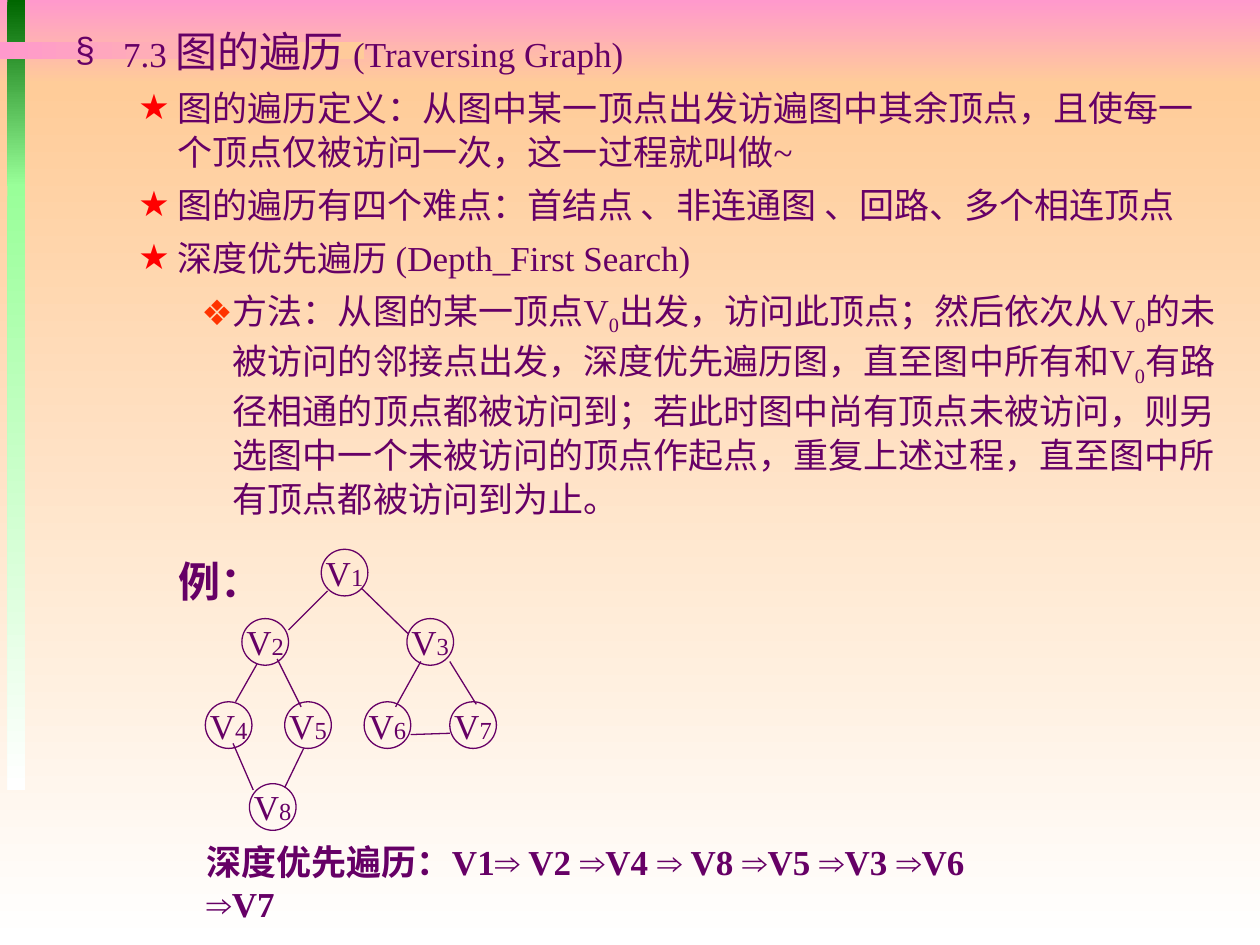
from lxml import etree
from pptx import Presentation
from pptx.dml.color import RGBColor
from pptx.enum.shapes import MSO_CONNECTOR as Connector, MSO_SHAPE as Shape
from pptx.enum.text import MSO_ANCHOR as Anchor, PP_ALIGN as Align
from pptx.oxml.ns import qn
from pptx.util import Inches, Pt

PURPLE = "660066"
SERIF, SANS = "Times New Roman", "Arial"
NODE_SIZE = 0.37
NODES = [
    ("1", 1.40, 0), ("2", 0.77, 0.55), ("4", 0.48, 1.21), ("5", 1.11, 1.21),
    ("3", 2.08, 0.55), ("7", 2.42, 1.21), ("6", 1.74, 1.21), ("8", 0.83, 1.86),
]
EDGES = [
    (1.45, 0.33, 1.14, 0.64), (1.72, 0.31, 2.09, 0.67), (0.89, 0.91, 0.72, 1.21),
    (1.05, 0.87, 1.24, 1.25), (0.70, 1.54, 0.86, 1.91), (1.26, 1.58, 1.11, 1.89),
    (2.19, 0.89, 1.99, 1.25), (2.11, 1.47, 2.42, 1.46), (2.42, 0.89, 2.63, 1.23),
]
STAR = dict(level=1, left=0.81, hang=0.31, bullet="★", bullet_color="FF0000")
DIAMOND = dict(level=2, left=1.25, hang=0.25, bullet="❖", bullet_color="FF3300")
METHOD = [
    "方法：从图的某一顶点V",
    "出发，访问此顶点；然后依次从V",
    "的未被访问的邻接点出发，深度优先遍历图，直至图中所有和V",
    "有路径相通的顶点都被访问到；若此时图中尚有顶点未被访问，"
    "则另选图中一个未被访问的顶点作起点，重复上述过程，直至图中所有顶点都被访问到为止。",
]
VISITS = ["深度优先遍历：V1", " V2 ", "V4 ", " V8 ", "V5 ", "V3 ", "V6 ", "V7"]


def color(value):
    """Turn a hex string into a colour."""
    return RGBColor.from_string(value)


def add_span(para, text, size=20, font=SERIF, bold=False, baseline=0):
    """Append formatted text to a paragraph."""
    span = para.add_run()
    span.text = text
    span.font.size = Pt(size)
    span.font.name = font
    span.font.bold = bold
    span.font.color.rgb = color(PURPLE)
    if baseline:
        span._r.get_or_add_rPr().set("baseline", str(baseline * 1000))


def add_bullet(para, level, left, hang, bullet, bullet_color):
    """Give a paragraph its level, hanging indent and coloured bullet."""
    para.level = level
    props = para._p.get_or_add_pPr()
    props.set("marL", str(Inches(left)))
    props.set("indent", str(-Inches(hang)))
    tint = etree.SubElement(props, qn("a:buClr"))
    etree.SubElement(tint, qn("a:srgbClr")).set("val", bullet_color)
    etree.SubElement(props, qn("a:buFont")).set("typeface", SANS)
    etree.SubElement(props, qn("a:buChar")).set("char", bullet)


def add_text_box(page, left, top, width, height, wrap=True):
    """Add a text box and return its frame."""
    box = page.shapes.add_textbox(Inches(left), Inches(top), Inches(width), Inches(height))
    box.text_frame.word_wrap = wrap
    return box.text_frame


def add_band(page, left, top, width, height, start, end, angle=270):
    """Add a borderless rectangle with a two-colour gradient."""
    band = page.shapes.add_shape(
        Shape.RECTANGLE, Inches(left), Inches(top), Inches(width), Inches(height))
    band.shadow.inherit = False
    band.line.fill.background()
    band.fill.gradient()
    band.fill.gradient_angle = angle
    for stop, value in zip(band.fill.gradient_stops, (start, end)):
        stop.color.rgb = color(value)


def add_background(page, width, height):
    """Fill the page and draw its side and title stripes."""
    split = 0.67
    add_band(page, 0, 0, width, split, "FF99CC", "FFCC99")
    add_band(page, 0, split, width, height - split, "FFCC99", "FFFFFF")
    add_band(page, 0.06, 0, 0.14, 1.48, "006600", "99FF99")
    add_band(page, 0.06, 1.46, 0.14, 4.81, "99FF99", "FFFFFF")
    add_band(page, 0, 0.33, 2.89, 0.14, "FF99CC", "FFCC99", angle=0)


def add_body(page, left, top, width, height):
    """Write the heading and the bulleted explanation."""
    frame = add_text_box(page, left, top, width, height)
    title = frame.paragraphs[0]
    add_bullet(title, 0, 0.38, 0.38, "§", PURPLE)
    title.line_spacing = 0.8
    add_span(title, "7.3 ")
    add_span(title, "图的遍历 ", size=24, font=SANS)
    add_span(title, "(Traversing Graph)")
    items = [
        (STAR, ["图的遍历定义：从图中某一顶点出发访遍图中其余顶点，且使每一个顶点仅被访问一次，这一过程就叫做~"]),
        (STAR, ["图的遍历有四个难点：首结点 、非连通图 、回路、多个相连顶点"]),
        (STAR, ["深度优先遍历 (Depth_First Search)"]),
        (DIAMOND, METHOD),
    ]
    for style, parts in items:
        para = frame.add_paragraph()
        add_bullet(para, **style)
        para.line_spacing = 1.05
        para.space_before = Pt(5)
        for index, part in enumerate(parts):
            if index:
                add_span(para, "0", baseline=-25)
            add_span(para, part)


def add_node(page, left, top, number):
    """Draw one labelled vertex."""
    node = page.shapes.add_shape(
        Shape.OVAL, Inches(left), Inches(top), Inches(NODE_SIZE), Inches(NODE_SIZE))
    node.shadow.inherit = False
    node.fill.background()
    node.line.color.rgb = color(PURPLE)
    node.line.width = Pt(0.75)
    frame = node.text_frame
    frame.word_wrap = False
    frame.vertical_anchor = Anchor.MIDDLE
    para = frame.paragraphs[0]
    para.alignment = Align.CENTER
    add_span(para, "V")
    add_span(para, number, size=14)


def add_edge(page, x1, y1, x2, y2):
    """Draw one line between vertices."""
    edge = page.shapes.add_connector(
        Connector.STRAIGHT, Inches(x1), Inches(y1), Inches(x2), Inches(y2))
    edge.line.color.rgb = color(PURPLE)
    edge.line.width = Pt(0.75)
    etree.SubElement(edge._element.spPr, qn("a:effectLst"))


def add_graph(page, left, top):
    """Draw the example graph with its caption."""
    for number, x, y in NODES:
        add_node(page, left + x, top + y, number)
    for x1, y1, x2, y2 in EDGES:
        add_edge(page, left + x1, top + y1, left + x2, top + y2)
    frame = add_text_box(page, left, top, 0.86, 0.5, wrap=False)
    frame.vertical_anchor = Anchor.MIDDLE
    frame.paragraphs[0].alignment = Align.CENTER
    add_span(frame.paragraphs[0], "例：", size=24, bold=True)


def add_result(page, left, top, width, height):
    """Write the order in which the vertices are visited."""
    para = add_text_box(page, left, top, width, height).paragraphs[0]
    for index, visit in enumerate(VISITS):
        if index:
            add_span(para, "⇒", font=SANS, bold=True)
        add_span(para, visit, bold=True)


def main():
    """Build the slide and save the deck."""
    deck = Presentation()
    deck.slide_width, deck.slide_height = Inches(10), Inches(7.5)
    page = deck.slides.add_slide(deck.slide_layouts[6])
    add_background(page, 10, 7.5)
    add_body(page, 0.5, 0.23, 9.3, 4.26)
    add_graph(page, 1.15, 4.36)
    add_result(page, 1.54, 6.62, 6.58, 0.48)
    deck.save("out.pptx")


if __name__ == "__main__":
    main()
